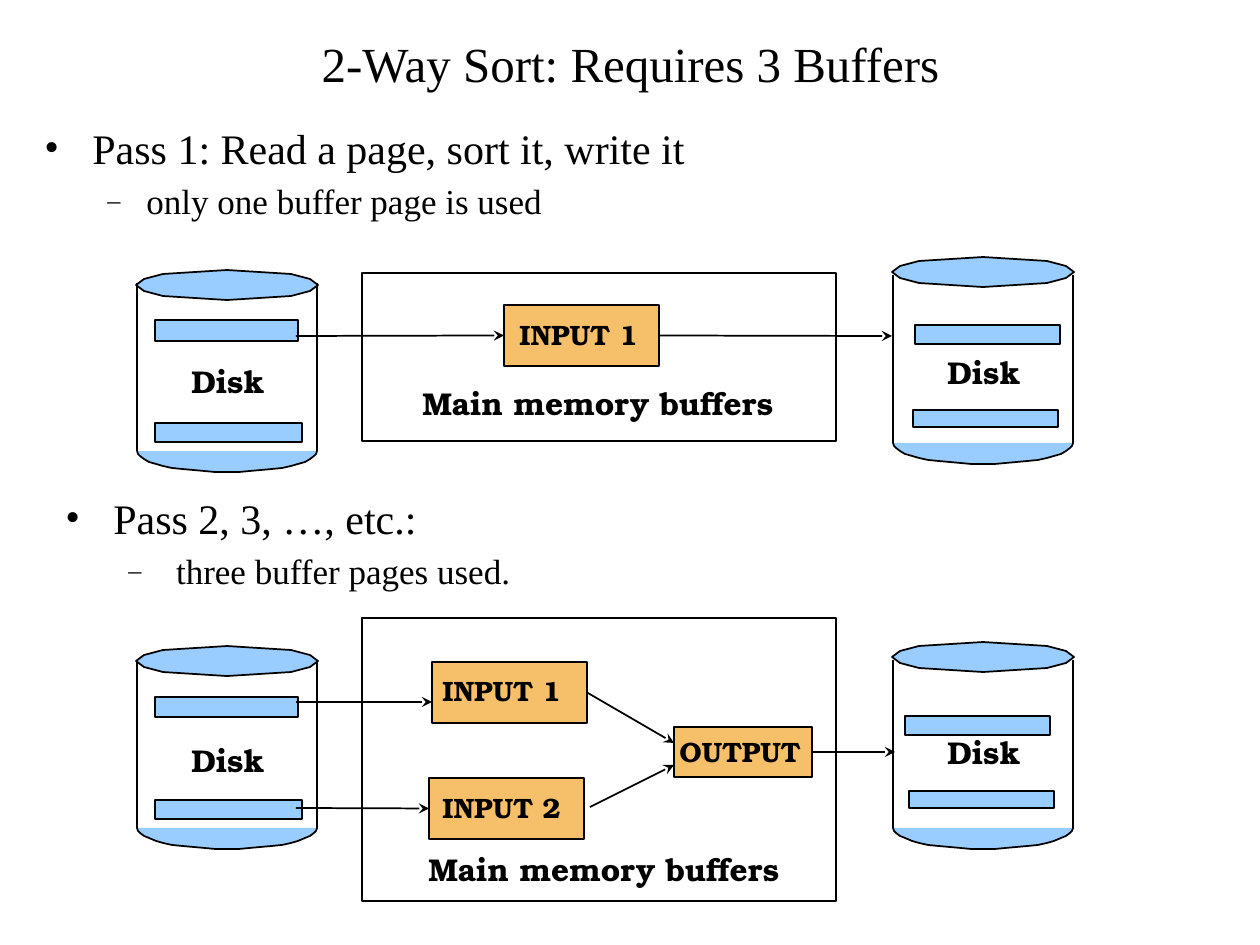
import math
import pptx
import pptx.dml.color
import pptx.enum.shapes
import pptx.enum.text
import pptx.oxml.ns
import pptx.util
from lxml import etree

SCALE = 914400 / 126
BLACK = pptx.dml.color.RGBColor(0x00, 0x00, 0x00)
BLUE = pptx.dml.color.RGBColor(0x99, 0xCC, 0xFF)
ORANGE = pptx.dml.color.RGBColor(0xF6, 0xBF, 0x69)
SERIF = "Times New Roman"
SLAB = "TeX Gyre Bonum"
RECTANGLE = pptx.enum.shapes.MSO_SHAPE.RECTANGLE
qn = pptx.oxml.ns.qn

deck = pptx.Presentation()
deck.slide_width = pptx.util.Inches(10)
deck.slide_height = pptx.util.Inches(7.5)
slide = deck.slides.add_slide(deck.slide_layouts[6])
shapes = slide.shapes


def paint(shape, fill=None):
    shape.shadow.inherit = False
    shape.line.color.rgb = BLACK
    shape.line.width = pptx.util.Pt(1)
    if fill is None:
        shape.fill.background()
    else:
        shape.fill.solid()
        shape.fill.fore_color.rgb = fill
    return shape


def write(bounds, text, sizes, font, bold=False, wrap=False):
    frame = shapes.add_textbox(*[round(n * SCALE) for n in bounds]).text_frame
    frame.word_wrap = wrap
    frame.text = text
    for paragraph, size in zip(frame.paragraphs, sizes):
        for run in paragraph.runs:
            run.font.size = pptx.util.Pt(size)
            run.font.name = font
            run.font.bold = bold
            run.font.color.rgb = BLACK
    return frame


title = write((95, 21, 1071, 84), "2-Way Sort: Requires 3 Buffers", [28], SERIF, wrap=True)
title.vertical_anchor = pptx.enum.text.MSO_ANCHOR.MIDDLE
title.paragraphs[0].alignment = pptx.enum.text.PP_ALIGN.CENTER

passes = [
    ((32, 116, 798, 136), "Pass 1: Read a page, sort it, write it\nonly one buffer page is used"),
    ((53, 486, 577, 144), "Pass 2, 3, …, etc.:\n three buffer pages used."),
]
bullets = [("•", 48, 48, 100), ("–", 102, 39, 75)]
for bounds, text in passes:
    outline = write(bounds, text, [24, 20], SERIF, wrap=True)
    for level, (mark, margin, hang, percent) in enumerate(bullets):
        paragraph = outline.paragraphs[level]
        paragraph.level = level
        paragraph.space_before = pptx.util.Pt(4)
        properties = paragraph._p.get_or_add_pPr()
        properties.set("marL", str(round(margin * SCALE)))
        properties.set("indent", str(round(-hang * SCALE)))
        etree.SubElement(properties, qn("a:buSzPct")).set("val", str(percent * 1000))
        etree.SubElement(properties, qn("a:buFont")).set("typeface", SERIF)
        etree.SubElement(properties, qn("a:buChar")).set("char", mark)

lines = []
lower_right = [(91, 0), (83, 6), (64, 11), (0, 15)]
lower = lower_right + [(-x, y) for x, y in lower_right[-2::-1]]
rim = lower + [(-x, -y) for x, y in lower[1:-1]]
bowl = [(90 * math.cos(math.pi * i / 24), 21 * math.sin(math.pi * i / 24)) for i in range(25)]

disks = [
    (227, 285, 451, 356, [(155, 320, 143, 21), (155, 423, 147, 19)]),
    (983, 272, 443, 347, [(915, 325, 145, 19), (913, 410, 145, 17)]),
    (227, 661, 828, 735, [(155, 697, 143, 20), (155, 800, 147, 19)]),
    (983, 657, 828, 727, [(905, 716, 145, 19), (909, 791, 145, 17)]),
]
for center, rim_y, base_y, label_y, pages in disks:
    for curve, y, closed in [(rim, rim_y, True), (bowl, base_y, False)]:
        points = [(center + dx, y + dy) for dx, dy in curve]
        builder = shapes.build_freeform(*points[0], scale=SCALE)
        builder.add_line_segments(points[1:], close=closed)
        paint(builder.convert_to_shape(), BLUE)
    for side in (center - 90, center + 90):
        lines.append((side, base_y - 168, side, base_y, None, None))
    for page in pages:
        paint(shapes.add_shape(RECTANGLE, *[round(n * SCALE) for n in page]), BLUE)
    write((center - 48, label_y, 98, 50), "Disk", [18], SLAB, bold=True)

for frame, label in [((362, 273, 474, 168), (410, 378, 377, 50)),
                     ((362, 618, 474, 283), (416, 844, 377, 50))]:
    paint(shapes.add_shape(RECTANGLE, *[round(n * SCALE) for n in frame]))
    write(label, "Main memory buffers", [18], SLAB, bold=True)

buffers = []
for bounds, label, text in [
    ((504, 305, 155, 61), (507, 311, 144, 45), "INPUT 1"),
    ((432, 662, 155, 61), (430, 667, 144, 45), "INPUT 1"),
    ((429, 778, 155, 61), (430, 784, 144, 45), "INPUT 2"),
    ((674, 727, 138, 50), (667, 728, 146, 45), "OUTPUT"),
]:
    box = shapes.add_shape(RECTANGLE, *[round(n * SCALE) for n in bounds])
    buffers.append(paint(box, ORANGE))
    write(label, text, [16], SLAB, bold=True)
single, first, second, output = buffers

arrows = [
    (296, 336, 504, 336, None, single),
    (659, 336, 892, 336, single, None),
    (296, 702, 432, 702, None, None),
    (296, 808, 429, 808, None, second),
    (587, 692, 674, 743, first, None),
    (590, 807, 674, 765, None, None),
    (812, 752, 895, 752, output, None),
]
for index, (x1, y1, x2, y2, source, target) in enumerate(lines + arrows):
    line = shapes.add_connector(pptx.enum.shapes.MSO_CONNECTOR.STRAIGHT,
                                *[round(n * SCALE) for n in (x1, y1, x2, y2)])
    line.line.color.rgb = BLACK
    line.line.width = pptx.util.Pt(1)
    if source:
        line.begin_connect(source, 3)
    if target:
        line.end_connect(target, 1)
    if index >= len(lines):
        etree.SubElement(line.line._get_or_add_ln(), qn("a:tailEnd")).set("type", "stealth")
    etree.SubElement(line._element.spPr, qn("a:effectLst"))

deck.save("out.pptx")
